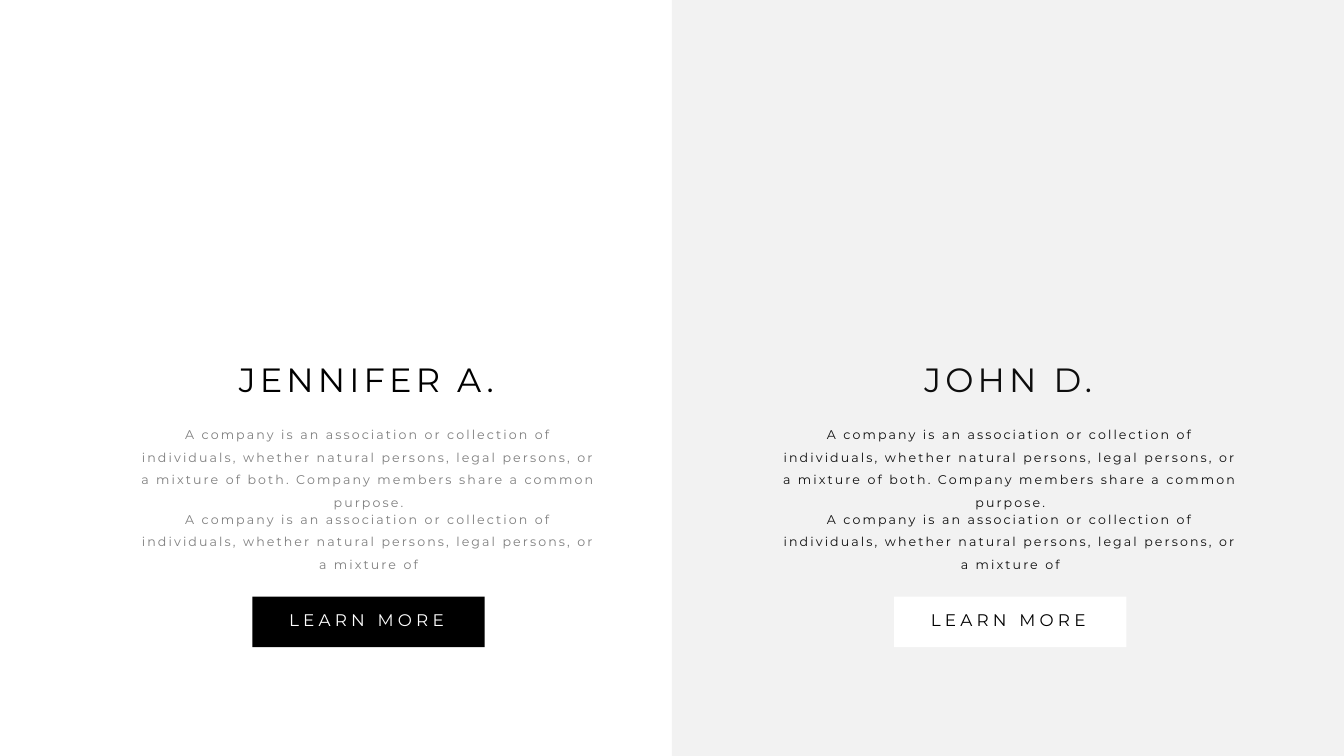
from dataclasses import dataclass

from pptx import Presentation
from pptx.dml.color import RGBColor
from pptx.enum.shapes import MSO_SHAPE
from pptx.enum.text import MSO_AUTO_SIZE, PP_ALIGN
from pptx.util import Inches, Pt

BLACK = RGBColor(0x00, 0x00, 0x00)
WHITE = RGBColor(0xFF, 0xFF, 0xFF)
INK = RGBColor(0x0E, 0x0E, 0x0E)
GREY = RGBColor(0x7F, 0x7F, 0x7F)
PALE = RGBColor(0xF2, 0xF2, 0xF2)

WIDTH, HEIGHT = 26.66, 15
BODY_W = 9.38
NUDGE = 0.04  # titles and labels sit slightly left of the column centre

LEAD = ("A company is an association or collection of individuals, whether "
        "natural persons, legal persons, or a mixture of")
FULL = LEAD + " both. Company members share a common purpose."


@dataclass
class Style:
    size: int
    track: int
    line: float = 1.0
    wrap: bool = True


NAME = Style(48, 6, wrap=False)
BODY = Style(18, 3, line=1.5)
LABEL = Style(24, 6)


@dataclass
class Person:
    name: str
    left: float
    name_w: float
    label_w: float
    name_ink: RGBColor
    body_ink: RGBColor
    fill: RGBColor
    label_ink: RGBColor


PEOPLE = (
    Person("JENNIFER A.", 2.62, 5.31, 4.48, BLACK, GREY, BLACK, WHITE),
    Person("JOHN D.", 15.35, 3.58, 3.37, INK, INK, WHITE, BLACK),
)


def add_rect(shapes, left: float, top: float, width: float, height: float,
             fill: RGBColor) -> None:
    rect = shapes.add_shape(MSO_SHAPE.RECTANGLE, Inches(left), Inches(top),
                            Inches(width), Inches(height))
    rect.shadow.inherit = False
    rect.fill.solid()
    rect.fill.fore_color.rgb = fill
    rect.line.fill.background()


def add_text(shapes, text: str, mid: float, top: float, width: float,
             height: float, style: Style, ink: RGBColor) -> None:
    """Add a text box centred on the x position mid."""
    box = shapes.add_textbox(Inches(mid - width / 2), Inches(top),
                             Inches(width), Inches(height))
    frame = box.text_frame
    frame.word_wrap = style.wrap
    frame.auto_size = MSO_AUTO_SIZE.SHAPE_TO_FIT_TEXT
    para = frame.paragraphs[0]
    para.alignment = PP_ALIGN.CENTER
    para.line_spacing = style.line
    run = para.add_run()
    run.text = text
    for key, value in {"name": "Montserrat", "size": Pt(style.size)}.items():
        setattr(run.font, key, value)
    run.font.color.rgb = ink
    run._r.get_or_add_rPr().set("spc", str(style.track * 100))


def add_person(shapes, who: Person) -> None:
    mid = who.left + BODY_W / 2
    add_text(shapes, who.name, mid - NUDGE, 7.08, who.name_w, 0.91,
             NAME, who.name_ink)
    for text, top, height in ((FULL, 8.27, 1.4), (LEAD, 9.95, 1)):
        add_text(shapes, text, mid, top, BODY_W, height, BODY, who.body_ink)
    button = shapes.add_group_shape().shapes
    add_rect(button, mid - 4.61 / 2, 11.84, 4.61, 1, who.fill)
    add_text(button, "LEARN MORE", mid - NUDGE, 12.05, who.label_w, 0.5,
             LABEL, who.label_ink)


def main() -> None:
    deck = Presentation()
    deck.slide_width, deck.slide_height = Inches(WIDTH), Inches(HEIGHT)
    slide = deck.slides.add_slide(deck.slide_layouts[6])
    slide.background.fill.solid()
    slide.background.fill.fore_color.rgb = WHITE
    add_rect(slide.shapes, WIDTH / 2, 0, WIDTH / 2, HEIGHT, PALE)
    for who in PEOPLE:
        add_person(slide.shapes, who)
    deck.save("out.pptx")


if __name__ == "__main__":
    main()
